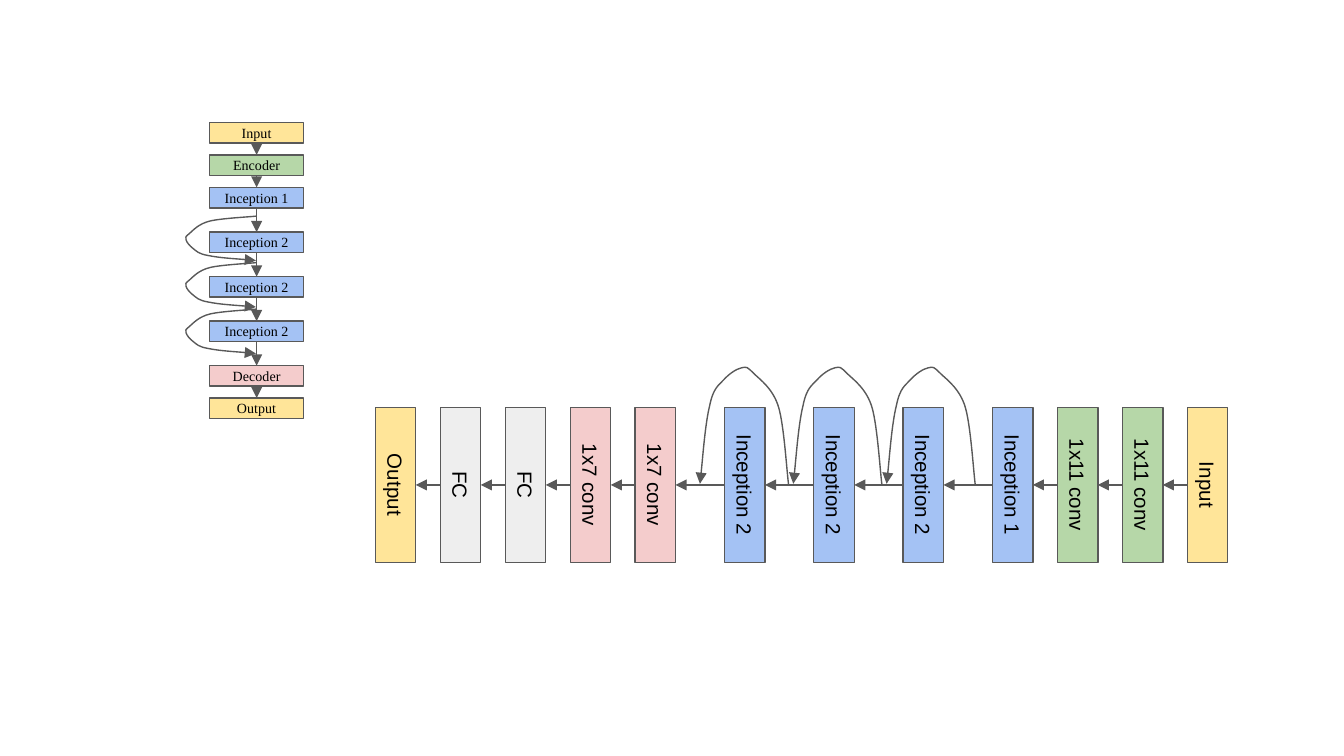
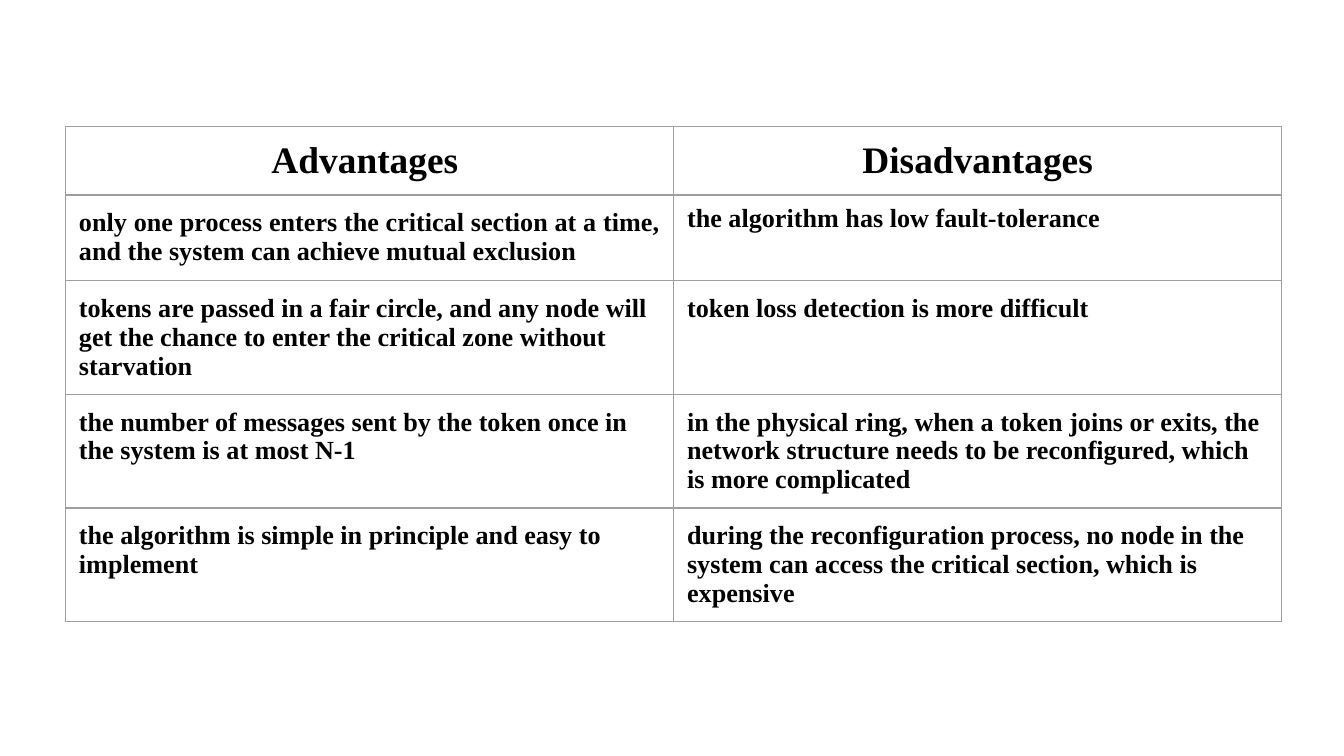
from lxml import etree
from pptx import Presentation
from pptx.dml.color import RGBColor
from pptx.enum import shapes, text
from pptx.oxml import ns
from pptx.util import Pt

BLACK = RGBColor(0x00, 0x00, 0x00)
GRAY = RGBColor(0x59, 0x59, 0x59)
BORDER = RGBColor(0x9E, 0x9E, 0x9E)
YELLOW = RGBColor(0xFF, 0xE5, 0x99)
GREEN = RGBColor(0xB6, 0xD7, 0xA8)
BLUE = RGBColor(0xA4, 0xC2, 0xF4)
PINK = RGBColor(0xF4, 0xCC, 0xCC)
PALE = RGBColor(0xEE, 0xEE, 0xEE)
SANS, SERIF = "Arial", "Times New Roman"
INSET = Pt(7.2)

INCEPTIONS = [("Inception 1", BLUE)] + [("Inception 2", BLUE)] * 3
OVERVIEW = [("Input", YELLOW), ("Encoder", GREEN), *INCEPTIONS,
            ("Decoder", PINK), ("Output", YELLOW)]
DETAIL = [("Input", YELLOW), *[("1x11 conv", GREEN)] * 2, *INCEPTIONS,
          *[("1x7 conv", PINK)] * 2, *[("FC", PALE)] * 2, ("Output", YELLOW)]

LOOP = [(0, 0), (2, 11), (5, 49), (11, 65), (17, 81), (32, 89), (39, 94),
        (47, 100), (47, 100), (53, 99), (59, 98), (67, 94), (73, 89),
        (79, 84), (85, 82), (89, 67), (94, 52), (98, 12), (100, 1)]

ROWS = [
    ("Advantages ", "Disadvantages"),
    ("only one process enters the critical section at a time, and the system can achieve mutual exclusion",
     "the algorithm has low fault-tolerance"),
    ("tokens are passed in a fair circle, and any node will get the chance to enter the critical zone without starvation",
     "token loss detection is more difficult"),
    ("the number of messages sent by the token once in the system is at most N-1",
     "in the physical ring, when a token joins or exits, the network structure needs to be reconfigured, which is more complicated"),
    ("the algorithm is simple in principle and easy to implement",
     "during the reconfiguration process, no node in the system can access the critical section, which is expensive"),
]
ROW_HEIGHTS = [34, 46, 58, 50, 48]
COL_WIDTH = 325.8


def style(obj, **values):
    for name, value in values.items():
        setattr(obj, name, value)


def write(p, label, size, font, align, bold=False):
    r = p.add_run()
    r.text = label
    p.alignment = align
    style(r.font, size=Pt(size), name=font, bold=bold)
    r.font.color.rgb = BLACK


def outline(sp):
    sp.line.color.rgb = GRAY
    sp.line.width = Pt(0.75)


def arrowhead(sp):
    outline(sp)
    ln = sp.line._get_or_add_ln()
    etree.SubElement(ln, ns.qn("a:tailEnd"), type="triangle")


def add_box(group, center, size, label, fill, font, font_size, rotation):
    (x, y), (w, h) = center, size
    sp = group.add_shape(shapes.MSO_SHAPE.RECTANGLE, Pt(x - w / 2),
                         Pt(y - h / 2), Pt(w), Pt(h))
    style(sp, rotation=rotation)
    sp.shadow.inherit = False
    sp.fill.solid()
    sp.fill.fore_color.rgb = fill
    outline(sp)
    tf = sp.text_frame
    style(tf, word_wrap=True, vertical_anchor=text.MSO_ANCHOR.MIDDLE,
          margin_left=INSET, margin_right=INSET,
          margin_top=INSET, margin_bottom=INSET)
    write(tf.paragraphs[0], label, font_size, font, text.PP_ALIGN.CENTER)


def add_arrow(group, start, end):
    sp = group.add_connector(shapes.MSO_CONNECTOR.STRAIGHT,
                             *[Pt(v) for v in (*start, *end)])
    arrowhead(sp)
    etree.SubElement(sp._element.spPr, ns.qn("a:effectLst"))


def add_curve(group, points):
    start, *rest = [(Pt(x), Pt(y)) for x, y in points]
    fb = group.build_freeform(*start)
    fb.add_line_segments(rest, close=False)
    sp = fb.convert_to_shape()
    sp.shadow.inherit = False
    sp.fill.background()
    arrowhead(sp)
    lines = list(sp._element.iter(ns.qn("a:lnTo")))
    for i in range(0, len(lines), 3):
        curve = etree.Element(ns.qn("a:cubicBezTo"))
        lines[i].addprevious(curve)
        for line in lines[i:i + 3]:
            curve.append(line[0])
            line.getparent().remove(line)


def add_network(group, layers, place, start, step, wide_step, depth, size,
                font, font_size, rotation, loop_start, loop_step, loop_size):
    pos = start
    for i, (label, fill) in enumerate(layers):
        add_box(group, place(pos, 0), size, label, fill, font, font_size, rotation)
        gap = wide_step if fill == BLUE else step
        if i < len(layers) - 1:
            add_arrow(group, place(pos + depth / 2, 0),
                      place(pos + gap - depth / 2, 0))
        pos += gap
    length, reach = loop_size
    for i in range(3):
        first = loop_start + i * loop_step
        add_curve(group, [place(first + a * length / 100, b * reach / 100)
                          for a, b in LOOP])


def leftward(along, out):
    return 646.9 - along, 259.8 - out


def downward(along, out):
    return 137.5 - out, along


def add_borders(cell):
    tcPr = cell._tc.get_or_add_tcPr()
    for i, side in enumerate(("lnL", "lnR", "lnT", "lnB")):
        ln = etree.Element(ns.qn("a:" + side), w=str(Pt(0.75)))
        fill = etree.SubElement(ln, ns.qn("a:solidFill"))
        etree.SubElement(fill, ns.qn("a:srgbClr"), val=str(BORDER))
        tcPr.insert(i, ln)


def add_comparison(s):
    frame = s.shapes.add_table(len(ROWS), 2, Pt(35.1), Pt(67.8),
                               Pt(2 * COL_WIDTH), Pt(sum(ROW_HEIGHTS)))
    table = frame.table
    style(table, first_row=False, horz_banding=False)
    for col in table.columns:
        col.width = Pt(COL_WIDTH)
    for i, (row, height) in enumerate(zip(ROWS, ROW_HEIGHTS)):
        table.rows[i].height = Pt(height)
        for j, label in enumerate(row):
            cell = table.cell(i, j)
            style(cell, margin_left=INSET, margin_right=INSET,
                  margin_top=INSET, margin_bottom=INSET)
            cell.fill.background()
            add_borders(cell)
            align = text.PP_ALIGN.LEFT if i else text.PP_ALIGN.CENTER
            write(cell.text_frame.paragraphs[0], label, 14 if i else 20,
                  SERIF, align, bold=True)
    table.cell(1, 0).text_frame.paragraphs[0].alignment = text.PP_ALIGN.JUSTIFY
    table.cell(1, 1).text_frame.paragraphs[0].line_spacing = 0.84


def main():
    prs = Presentation()
    style(prs, slide_width=Pt(720), slide_height=Pt(405))
    blank = prs.slide_layouts[6]

    s = prs.slides.add_slide(blank)
    add_network(s.shapes.add_group_shape().shapes, DETAIL, leftward, start=0,
                step=34.8, wide_step=47.85, depth=21.7, size=(83, 21.7),
                font=SANS, font_size=11, rotation=90,
                loop_start=124.4, loop_step=50, loop_size=(47.5, 63.4))
    add_network(s.shapes, OVERVIEW, downward, start=71.1,
                step=17.4, wide_step=23.85, depth=10.9, size=(50.3, 10.9),
                font=SERIF, font_size=7.5, rotation=0,
                loop_start=115.8, loop_step=24.9, loop_size=(23.8, 38.2))

    add_comparison(prs.slides.add_slide(blank))
    prs.save("out.pptx")


if __name__ == "__main__":
    main()
